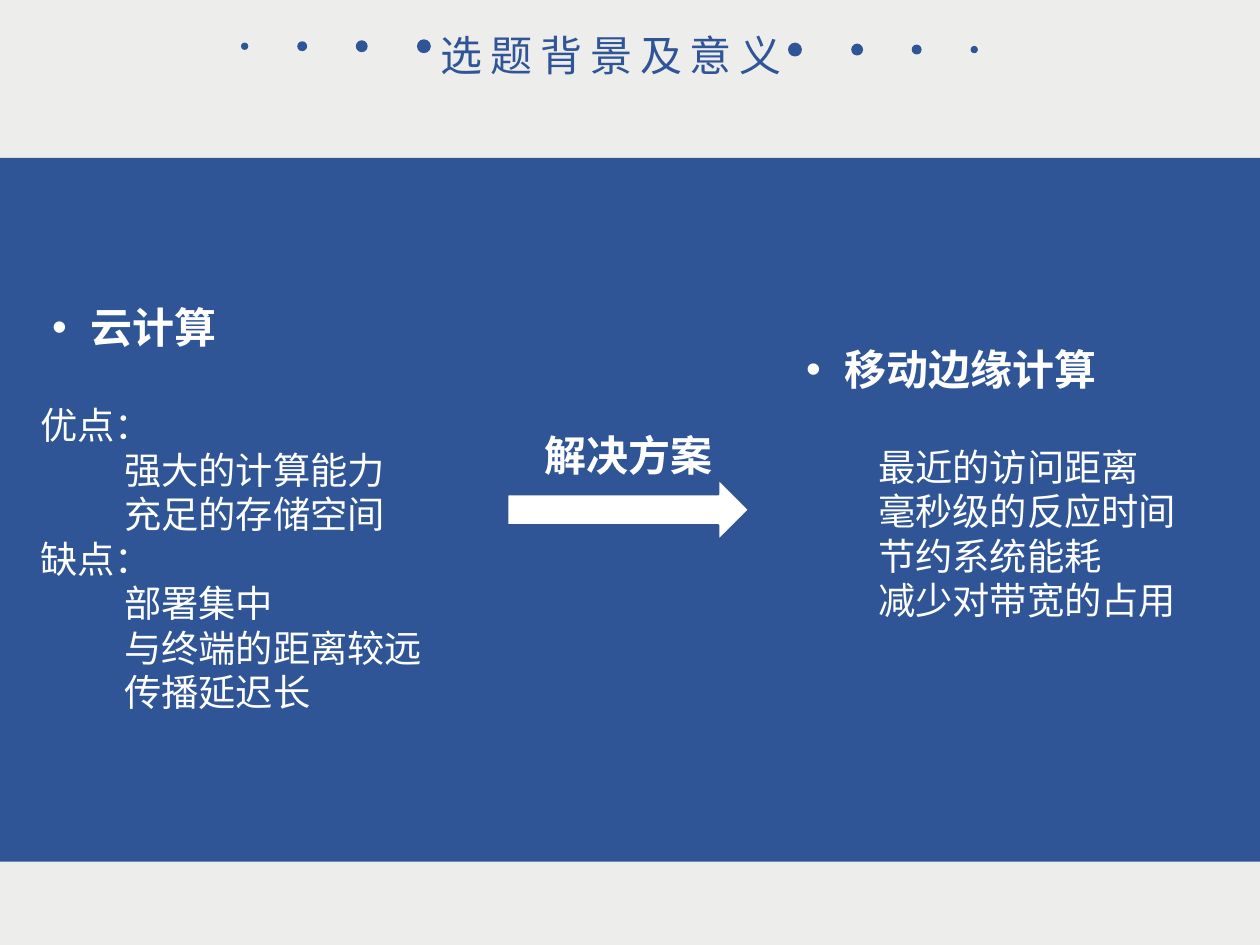
from lxml.etree import SubElement
from pptx import Presentation
from pptx.dml.color import RGBColor
from pptx.enum.shapes import MSO_SHAPE as Preset
from pptx.oxml.ns import qn
from pptx.util import Cm, Pt

COLORS = {"paper": "EDEDEB", "blue": "2F5597", "edge": "325491", "white": "FFFFFF"}
FONT = "Noto Sans CJK SC"
TITLE_FONT = "Noto Sans CJK JP"
HEADING_SIZE, BODY_SIZE = 18, 16
HEADING_LINE, BODY_LINE = 23.5, 19.1
INSET_X, INSET_Y = 0.25, 0.13
BULLET_MARGIN, BULLET_INDENT = 0.76, -0.58
ITEM_MARGIN = 1.27


def color(name):
    return RGBColor.from_string(COLORS[name])


def add_filled(slide, preset, box, fill, line=None):
    shape = slide.shapes.add_shape(preset, *map(Cm, box))
    shape.shadow.inherit = False
    shape.fill.solid()
    shape.fill.fore_color.rgb = color(fill)
    if line:
        shape.line.color.rgb = color(line)
        shape.line.width = Pt(1)
    else:
        shape.line.fill.background()
    return shape


def add_text_frame(slide, box):
    frame = slide.shapes.add_textbox(*map(Cm, box)).text_frame
    frame.word_wrap = True
    frame.margin_left = Cm(INSET_X)
    frame.margin_right = 0
    frame.margin_top = frame.margin_bottom = Cm(INSET_Y)
    return frame


def add_line(frame, text, size, line, fill="white", font=FONT, bold=False, margin=0):
    first = frame.paragraphs[0]
    paragraph = first if not first.runs else frame.add_paragraph()
    paragraph.line_spacing = Pt(line)
    properties = paragraph._p.get_or_add_pPr()
    properties.set("marL", str(Cm(margin)))
    properties.set("indent", "0")
    run = paragraph.add_run()
    run.text = text
    run.font.size = Pt(size)
    run.font.bold = bold
    run.font.name = font
    run.font.color.rgb = color(fill)
    SubElement(run._r.get_or_add_rPr(), qn("a:ea"), typeface=font)
    return paragraph


def add_bullet(paragraph):
    properties = paragraph._p.get_or_add_pPr()
    properties.set("marL", str(Cm(BULLET_MARGIN)))
    properties.set("indent", str(Cm(BULLET_INDENT)))
    SubElement(properties, qn("a:buFont"), typeface="Arial")
    SubElement(properties, qn("a:buChar"), char="•")


def add_dots(slide, x, y, direction):
    """Row of shrinking dots, running outwards from its inner centre."""
    for offset, size in ((0, 0.21), (0.94, 0.18), (1.84, 0.15), (2.71, 0.11)):
        left = x + direction * offset - size / 2
        add_filled(slide, Preset.OVAL, (left, y - size / 2, size, size), "blue")


def add_title(slide, box, text):
    left, top, width, height = box
    add_dots(slide, left, top + 0.45, -1)
    add_dots(slide, left + 5.61, top + 0.5, 1)
    frame = add_text_frame(slide, box)
    paragraph = add_line(frame, text, HEADING_SIZE, HEADING_LINE, "blue", TITLE_FONT)
    paragraph.runs[0].font._element.set("spc", "340")


def add_column(slide, box, heading, lines):
    """Bulleted heading over (text, is_item) lines."""
    frame = add_text_frame(slide, box)
    paragraph = add_line(frame, heading, HEADING_SIZE, HEADING_LINE, bold=True)
    paragraph.space_after = Pt(21.5)
    add_bullet(paragraph)
    for text, is_item in lines:
        add_line(frame, text, BODY_SIZE, BODY_LINE, margin=ITEM_MARGIN if is_item else 0)


def add_solution(slide, box, text):
    left, top, width, height = box
    arrow_height = 0.94
    arrow_box = (left, top + height - arrow_height, width, arrow_height)
    add_filled(slide, Preset.RIGHT_ARROW, arrow_box, "white", "edge")
    frame = add_text_frame(slide, (left + 0.31, top, 4.22, 0.94))
    add_line(frame, text, HEADING_SIZE, HEADING_LINE, bold=True)


def build_slide(presentation):
    slide = presentation.slides.add_slide(presentation.slide_layouts[6])
    slide.background.fill.solid()
    slide.background.fill.fore_color.rgb = color("paper")

    # Blue band and title
    add_filled(slide, Preset.RECTANGLE, (0, 2.39, 19.05, 10.64), "blue")
    add_title(slide, (6.41, 0.25, 5.84, 1.02), "选题背景及意义")

    # Edge computing, solution arrow, cloud computing
    add_column(slide, (11.76, 5, 7.29, 5.38), "移动边缘计算", [
        ("最近的访问距离", True),
        ("毫秒级的反应时间", True),
        ("节约系统能耗", True),
        ("减少对带宽的占用", True),
    ])
    add_solution(slide, (7.67, 6.3, 3.66, 1.88), "解决方案")
    add_column(slide, (0.36, 4.37, 9.52, 7.19), "云计算", [
        ("优点：", False),
        ("强大的计算能力", True),
        ("充足的存储空间", True),
        ("缺点：", False),
        ("部署集中", True),
        ("与终端的距离较远", True),
        ("传播延迟长", True),
    ])


def main():
    presentation = Presentation()
    presentation.slide_width = Cm(19.05)
    presentation.slide_height = Cm(14.29)
    build_slide(presentation)
    presentation.save("out.pptx")


if __name__ == "__main__":
    main()
